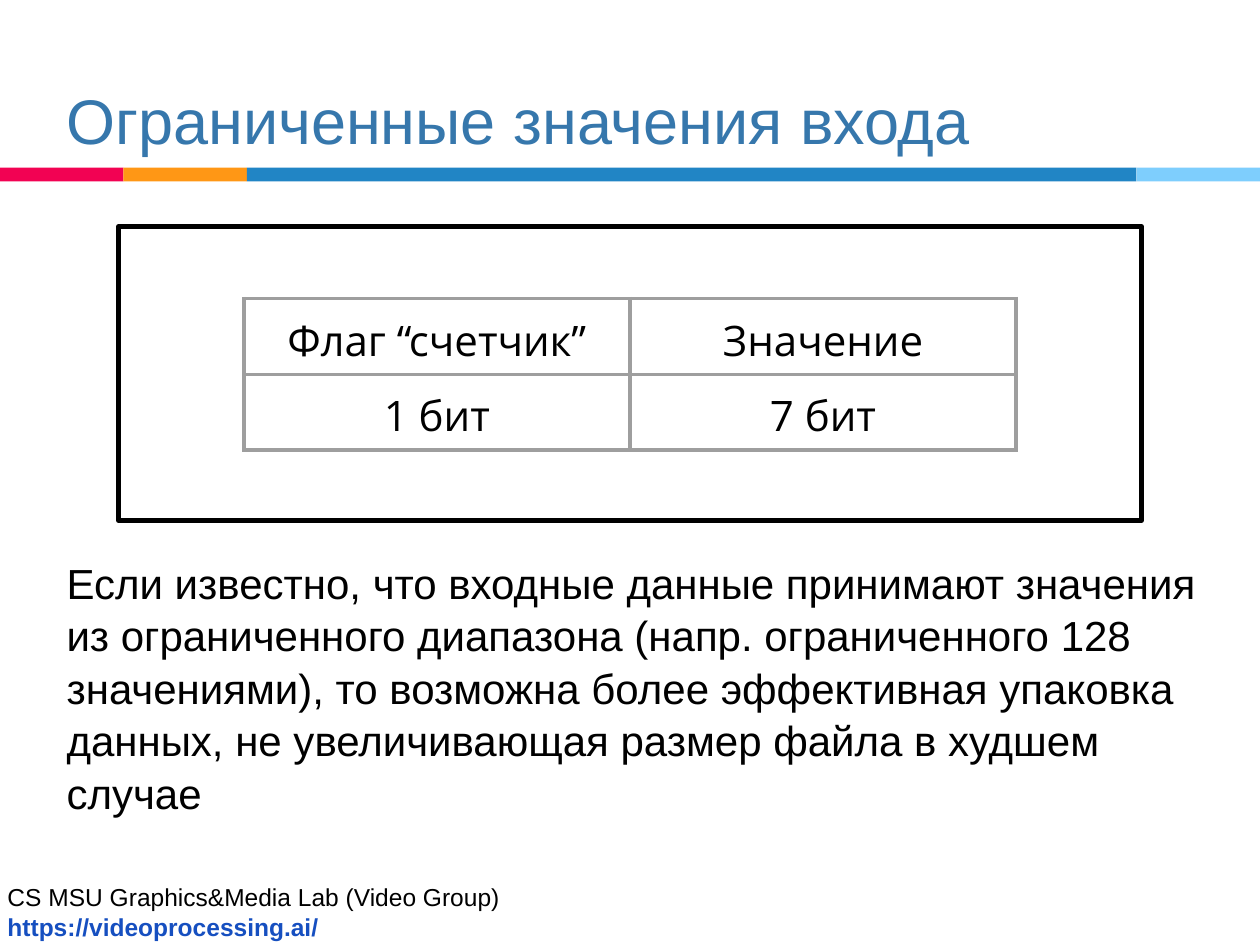
"""Build a slide on packing input values from a limited range."""
from lxml import etree
from pptx import Presentation
from pptx.dml.color import RGBColor
from pptx.enum.shapes import MSO_SHAPE
from pptx.enum.text import MSO_ANCHOR, PP_ALIGN
from pptx.oxml.ns import qn
from pptx.util import Inches, Pt

RECT = MSO_SHAPE.RECTANGLE
TOP, MIDDLE, BOTTOM = MSO_ANCHOR.TOP, MSO_ANCHOR.MIDDLE, MSO_ANCHOR.BOTTOM
CENTER = PP_ALIGN.CENTER

W, H = 10, 7.5
COLORS = {"black": "000000", "white": "FFFFFF", "title": "3677AC", "link": "164FC0",
          "pink": "F20253", "orange": "FF9715", "blue": "2185C5", "sky": "7ECEFD",
          "border": "9E9E9E"}
STRIPES = [("pink", 0.98), ("orange", 0.98), ("blue", 7.06), ("sky", 0.98)]
TITLE = ["Ограниченные значения входа"]
BODY = ["Если известно, что входные данные принимают значения",
        "из ограниченного диапазона (напр. ограниченного 128 значениями), то возможна "
        "более эффективная упаковка данных, не увеличивающая размер файла в худшем случае"]
FOOTER = ["CS MSU Graphics&Media Lab (Video Group)", "https://videoprocessing.ai/"]
CELLS = [["Флаг “счетчик”", "Значение"], ["1 бит", "7 бит"]]
FRAME_W, TABLE_W = 8.12, 6.13


def rgb(name):
    return RGBColor.from_string(COLORS[name])


def style(p, size, color="black", font="Arial"):
    for r in p.runs:
        r.font.size, r.font.name = Pt(size), font
        r.font.color.rgb = rgb(color)


def add_rect(s, box, fill, line=None):
    sp = s.shapes.add_shape(RECT, *map(Inches, box))
    sp.shadow.inherit = False
    sp.fill.solid()
    sp.fill.fore_color.rgb = rgb(fill)
    if line:
        sp.line.color.rgb = rgb(line)
        sp.line.width = Pt(3)
    else:
        sp.line.fill.background()


def add_text(s, box, lines, size, color="black", anchor=TOP, inset=0.1, spacing=1.0):
    tf = s.shapes.add_textbox(*map(Inches, box)).text_frame
    tf.word_wrap = True
    tf.vertical_anchor = anchor
    tf.margin_left = tf.margin_right = Inches(inset)
    tf.text = "\n".join(lines)
    for p in tf.paragraphs:
        p.line_spacing = spacing
        style(p, size, color)
    return tf


def style_cell(cell, text):
    cell.text = text
    cell.vertical_anchor = MIDDLE
    cell.margin_left = cell.margin_right = cell.margin_top = cell.margin_bottom = Inches(0.1)
    p = cell.text_frame.paragraphs[0]
    p.alignment = CENTER
    style(p, 24, font="Open Sans")
    tc_pr = cell._tc.get_or_add_tcPr()
    for side in ("lnL", "lnR", "lnT", "lnB"):
        ln = etree.SubElement(tc_pr, qn(f"a:{side}"), w=str(Pt(2.25)))
        fill = etree.SubElement(ln, qn("a:solidFill"))
        etree.SubElement(fill, qn("a:srgbClr"), val=COLORS["border"])
    cell.fill.background()


def add_grid(s, box, rows):
    table = s.shapes.add_table(len(rows), len(rows[0]), *map(Inches, box)).table
    table.first_row = table.horz_banding = False
    for i, row in enumerate(rows):
        for j, text in enumerate(row):
            style_cell(table.cell(i, j), text)


def main():
    prs = Presentation()
    prs.slide_width, prs.slide_height = Inches(W), Inches(H)
    s = prs.slides.add_slide(prs.slide_layouts[6])
    x = 0
    for color, width in STRIPES:
        add_rect(s, (x, 1.33, width, 0.11), color)
        x += width
    footer = add_text(s, (0.01, 6.94, 4.03, 0.57), FOOTER, 14, inset=0.05, spacing=1.04)
    link = footer.paragraphs[1].runs[0].font
    link.bold = True
    link.color.rgb = rgb("link")
    add_text(s, (0.43, 0.05, 8.34, 1.25), TITLE, 36, "title", BOTTOM)
    add_text(s, (0.43, 4.36, 9.29, 3.23), BODY, 24, spacing=1.04)
    add_rect(s, ((W - FRAME_W) / 2, 1.8, FRAME_W, 2.33), "white", "black")
    add_grid(s, ((W - TABLE_W) / 2, 2.37, TABLE_W, 1.2), CELLS)
    prs.save("out.pptx")


if __name__ == "__main__":
    main()
